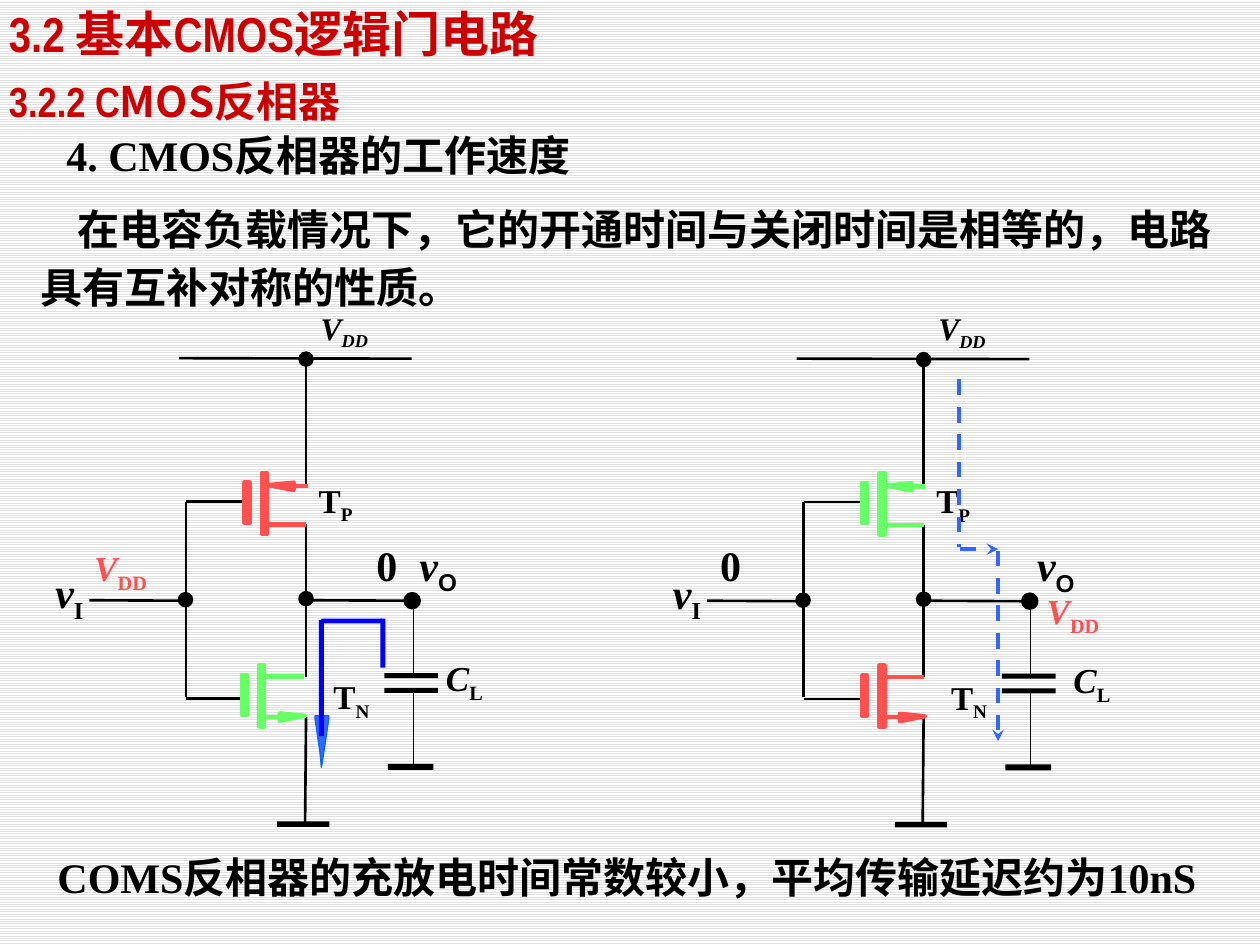
from dataclasses import dataclass
from typing import Optional, Sequence

import pptx
import pptx.dml.color
import pptx.enum.dml
import pptx.enum.shapes
import pptx.enum.text
import pptx.oxml
import pptx.oxml.ns
import pptx.util

Cm = pptx.util.Cm
Anchor = pptx.enum.text.MSO_ANCHOR
Align = pptx.enum.text.PP_ALIGN
Preset = pptx.enum.shapes.MSO_SHAPE
DRAWING_NS = pptx.oxml.ns.nsdecls("a")


@dataclass(frozen=True)
class Theme:
    black: str = "000000"
    heading: str = "CC0000"
    red: str = "FF5050"
    green: str = "66FF66"
    discharge: str = "0000FF"
    charge: str = "3366FF"
    arrow_edge: str = "0066FF"
    stripe: str = "E0E0E0"
    paper: str = "FFFFFF"
    serif: str = "Times New Roman"
    sans: str = "Arial"
    narrow: str = "Arial Narrow"
    chinese: str = "Noto Sans CJK SC"
    title: float = 28
    body: float = 24
    voltage: float = 20
    device: float = 19
    supply: float = 18
    wire: float = 1.5
    hairline: float = 0.75
    transistor: float = 2.5
    flow: float = 2.25


THEME = Theme()


@dataclass(frozen=True)
class Run:
    text: str
    size: float = THEME.body
    font: str = THEME.serif
    color: str = THEME.black
    italic: bool = False
    subscript: bool = False


@dataclass(frozen=True)
class Label:
    box: tuple
    runs: Sequence[Run]
    inset: Optional[tuple] = None
    anchor: Anchor = Anchor.TOP
    align: Align = Align.LEFT
    wrap: bool = False
    grow: bool = True
    spacing: Optional[float] = None
    indent: float = 0


@dataclass(frozen=True)
class Transistor:
    x: float
    y: float
    lead_y: float
    arrow_lead: tuple
    arrow: tuple


@dataclass(frozen=True)
class Circuit:
    x: float
    y: float
    upper_color: str
    lower_color: str
    lower_x: float


def rgb(color: str) -> pptx.dml.color.RGBColor:
    return pptx.dml.color.RGBColor.from_string(color)


def paint(shape, fill: str, line: Optional[str] = None, width: float = 0) -> None:
    shape.shadow.inherit = False
    shape.fill.solid()
    shape.fill.fore_color.rgb = rgb(fill)
    if line:
        shape.line.color.rgb = rgb(line)
        shape.line.width = pptx.util.Pt(width)
    else:
        shape.line.fill.background()


def add_preset(slide, preset, box, fill, line=None, width: float = 0) -> None:
    shape = slide.shapes.add_shape(preset, *map(Cm, box))
    paint(shape, fill, line, width)


def add_polygon(slide, points, fill: str, line: str, width: float) -> None:
    vertices = [(Cm(x), Cm(y)) for x, y in points]
    builder = slide.shapes.build_freeform(*vertices[0])
    builder.add_line_segments(vertices[1:], close=True)
    paint(builder.convert_to_shape(), fill, line, width)


def add_line(slide, ends, color=THEME.black, width=THEME.wire, dashed=False, arrow=False) -> None:
    straight = pptx.enum.shapes.MSO_CONNECTOR.STRAIGHT
    connector = slide.shapes.add_connector(straight, *map(Cm, ends))
    connector.line.color.rgb = rgb(color)
    connector.line.width = pptx.util.Pt(width)
    if dashed:
        connector.line.dash_style = pptx.enum.dml.MSO_LINE.DASH
    properties = connector._element.spPr
    if arrow:
        tail = pptx.oxml.parse_xml(f'<a:tailEnd {DRAWING_NS} type="stealth"/>')
        properties.find(pptx.oxml.ns.qn("a:ln")).append(tail)
    properties.append(pptx.oxml.parse_xml(f"<a:effectLst {DRAWING_NS}/>"))


def add_label(slide, label: Label, dx: float = 0, dy: float = 0) -> None:
    left, top, width, height = label.box
    shape = slide.shapes.add_textbox(Cm(left + dx), Cm(top + dy), Cm(width), Cm(height))
    frame = shape.text_frame
    frame.word_wrap = label.wrap
    frame.vertical_anchor = label.anchor
    sizing = pptx.enum.text.MSO_AUTO_SIZE
    frame.auto_size = sizing.SHAPE_TO_FIT_TEXT if label.grow else sizing.NONE
    if label.inset is not None:
        horizontal, vertical = map(Cm, label.inset)
        frame.margin_left = frame.margin_right = horizontal
        frame.margin_top = frame.margin_bottom = vertical
    paragraph = frame.paragraphs[0]
    paragraph.alignment = label.align
    if label.spacing:
        paragraph.line_spacing = label.spacing
    if label.indent:
        paragraph._p.get_or_add_pPr().set("indent", str(Cm(label.indent)))
    for item in label.runs:
        run = paragraph.add_run()
        run.text = item.text
        run.font.size = pptx.util.Pt(item.size)
        run.font.bold = True
        run.font.italic = item.italic
        run.font.color.rgb = rgb(item.color)
        run.font.name = item.font
        properties = run._r.get_or_add_rPr()
        properties.append(pptx.oxml.parse_xml(f'<a:ea {DRAWING_NS} typeface="{THEME.chinese}"/>'))
        if item.subscript:
            properties.set("baseline", "-25000")


def symbol(box, name, index, size, color=THEME.black, italic=True, index_italic=False,
           index_font=THEME.serif, tight=True) -> Label:
    runs = (Run(name, size, color=color, italic=italic),
            Run(index, size, index_font, color, index_italic, True))
    return Label(box, runs, (0, 0) if tight else None, align=Align.CENTER if tight else Align.LEFT)


def add_transistor(slide, device: Transistor, dx: float, dy: float, color: str) -> None:
    x, y = device.x + dx, device.y + dy
    start, end, arrow_y = device.arrow_lead
    width = THEME.transistor
    add_line(slide, (x + 0.08, y + device.lead_y, x + 0.89, y + device.lead_y), color, width)
    add_line(slide, (x + start, y + arrow_y, x + end, y + arrow_y), color, width)
    add_polygon(slide, [(x + px, y + py) for px, py in device.arrow], color, color, width)
    for box in ((x, y, 0.1, 1.24), (x - 0.35, y + 0.2, 0.1, 0.81)):
        add_preset(slide, Preset.RECTANGLE, box, color, color, width)


WIRES = (
    (1.8, 12.1, 3.75, 12.11), (3.75, 10.11, 3.75, 14.05), (3.75, 14.08, 4.95, 14.08),
    (3.75, 10.11, 4.95, 10.11), (6.17, 7.22, 6.17, 9.8), (6.17, 10.57, 6.17, 13.64),
    (6.15, 16.61, 6.17, 14.45), (6.2, 12.1, 8.28, 12.11), (3.61, 7.22, 8.3, 7.23),
)
CAPACITOR_LEADS = ((8.33, 12.14, 8.33, 13.67), (8.33, 13.97, 8.33, 15.49))
BARS = ((5.59, 16.56, 1.05, 0.11), (7.82, 15.4, 0.92, 0.12),
        (7.75, 13.57, 1.08, 0.1), (7.75, 13.87, 1.08, 0.1))
NODES = ((3.74, 12.09, THEME.wire), (6.17, 12.07, THEME.wire),
         (6.17, 7.24, THEME.wire), (8.31, 12.11, 2.63))
NODE_SIZE = 0.26
CIRCUIT_LABELS = (
    symbol((6.38, 6.22, 1.22, 0.76), "V", "DD ", THEME.supply, index_italic=True),
    symbol((6.35, 9.68, 0.91, 0.81), "T", "P ", THEME.device, italic=False),
    symbol((6.65, 13.64, 0.97, 0.81), "T", "N ", THEME.device, italic=False),
    symbol((8.43, 10.87, 0.81, 1.02), "v", "O", THEME.body, index_font=THEME.sans),
    symbol((1.04, 11.43, 0.84, 1.02), "v", "I ", THEME.body),
)
P_CHANNEL = Transistor(5.28, 9.53, 1.04, (0.92, 0.56, 0.27),
                       ((0.64, 0.35), (0.64, 0.2), (0.13, 0.25)))
N_CHANNEL = Transistor(5.23, 13.41, 0.23, (0.13, 0.49, 1.04),
                       ((0.41, 1.12), (0.41, 0.97), (0.92, 1.02)))


def add_circuit(slide, circuit: Circuit) -> None:
    dx, dy = circuit.x, circuit.y
    for wires, width in ((WIRES, THEME.wire), (CAPACITOR_LEADS, THEME.hairline)):
        for x1, y1, x2, y2 in wires:
            add_line(slide, (x1 + dx, y1 + dy, x2 + dx, y2 + dy), width=width)
    for x, y, width, height in BARS:
        add_preset(slide, Preset.RECTANGLE, (x + dx, y + dy, width, height), THEME.black)
    for x, y, outline in NODES:
        box = (x + dx - NODE_SIZE / 2, y + dy - NODE_SIZE / 2, NODE_SIZE, NODE_SIZE)
        add_preset(slide, Preset.OVAL, box, THEME.black, THEME.black, outline)
    for label in CIRCUIT_LABELS:
        add_label(slide, label, dx, dy)
    add_transistor(slide, P_CHANNEL, dx, dy, circuit.upper_color)
    add_transistor(slide, N_CHANNEL, dx + circuit.lower_x, dy, circuit.lower_color)


CIRCUITS = (Circuit(0, 0, THEME.red, THEME.green, 0),
            Circuit(12.45, 0.01, THEME.green, THEME.red, 0.05))
STATE_LABELS = (
    *(Label((x, 10.75, 0.94, 1.27), (Run("0"),), anchor=Anchor.MIDDLE) for x in (7.34, 14.27)),
    *(symbol((x, y, 1.65, 1.09), "V", "DD", THEME.voltage, THEME.red, tight=False)
      for x, y in ((1.65, 10.9), (20.85, 11.76))),
    *(symbol((x, y, 1.3, 1.09), "C", "L", THEME.voltage, tight=False)
      for x, y in ((8.74, 13.11), (21.39, 13.16))),
)
DISCHARGE_BARS = ((6.43, 12.5, 0.1, 2.34), (7.67, 12.47, 0.1, 0.99), (6.48, 12.47, 1.22, 0.1))
DISCHARGE_HEAD = ((6.35, 14.43), (6.63, 14.43), (6.63, 14.48), (6.53, 15.16),
                  (6.48, 15.47), (6.45, 15.16), (6.35, 14.48))
CHARGE_PATH = (((19.33, 7.65, 19.33, 11.02), False), ((19.35, 11.07, 20.12, 11.07), True),
               ((20.12, 11.1, 20.12, 14.94), True))
TEXTS = (
    Label((0.91, 16.87, 23.83, 1.45), (Run("COMS反相器的充放电时间常数较小，平均传输延迟约为10nS"),),
          anchor=Anchor.MIDDLE, wrap=True, spacing=1.15),
    Label((0.56, 3.89, 24.16, 2.46),
          (Run("在电容负载情况下，它的开通时间与关闭时间是相等的，电路具有互补对称的性质。", font=THEME.chinese),),
          anchor=Anchor.MIDDLE, wrap=True, spacing=1.15, indent=0.76),
    Label((1.09, 2.26, 12.9, 1.5), (Run("4. CMOS反相器的工作速度"),),
          anchor=Anchor.BOTTOM, wrap=True, grow=False),
    Label((0.13, 1.5, 7.26, 1.09),
          (Run("3.2.2 C", font=THEME.narrow, color=THEME.heading),
           Run("MOS反相器", font=THEME.chinese, color=THEME.heading)), (0.05, 0.03), wrap=True),
    Label((0.13, 0.05, 14.55, 1.24),
          (Run("3.2 基本CMOS逻辑门电路", THEME.title, THEME.narrow, THEME.heading),),
          (0.05, 0.03), wrap=True),
)


def main() -> None:
    presentation = pptx.Presentation()
    presentation.slide_width, presentation.slide_height = Cm(25.4), Cm(19.05)
    slide = presentation.slides.add_slide(presentation.slide_layouts[6])

    # Striped background
    background = slide.background.fill
    background.patterned()
    background.pattern = pptx.enum.dml.MSO_PATTERN.LIGHT_HORIZONTAL
    background.fore_color.rgb = rgb(THEME.stripe)
    background.back_color.rgb = rgb(THEME.paper)

    # Discharge path
    add_polygon(slide, DISCHARGE_HEAD, THEME.charge, THEME.arrow_edge, THEME.hairline)
    for box in DISCHARGE_BARS:
        add_preset(slide, Preset.RECTANGLE, box, THEME.discharge)

    # Both inverters
    for circuit in CIRCUITS:
        add_circuit(slide, circuit)

    # Charge path
    for ends, arrow in CHARGE_PATH:
        add_line(slide, ends, THEME.charge, THEME.flow, dashed=True, arrow=arrow)

    # Signal states, headings and text
    for label in STATE_LABELS + TEXTS:
        add_label(slide, label)
    presentation.save("out.pptx")


if __name__ == "__main__":
    main()
